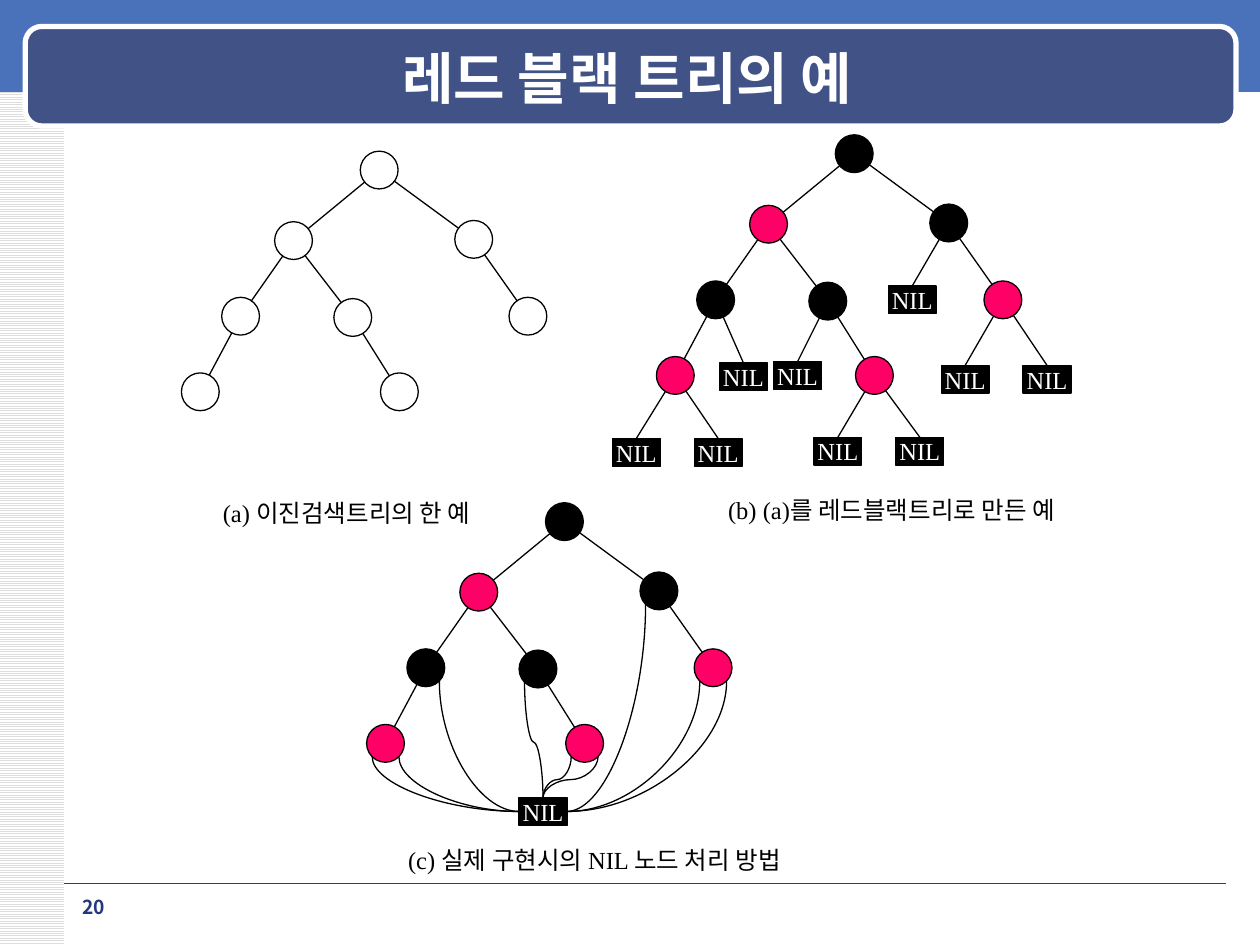
from math import hypot

from lxml.etree import SubElement
from pptx import Presentation
from pptx.dml.color import RGBColor
from pptx.enum.dml import MSO_PATTERN
from pptx.enum.shapes import MSO_CONNECTOR as CONNECTOR, MSO_SHAPE as SHAPE
from pptx.enum.text import MSO_ANCHOR as ANCHOR, PP_ALIGN as ALIGN
from pptx.oxml.ns import qn
from pptx.util import Inches, Pt

WHITE = RGBColor(0xFF, 0xFF, 0xFF)
BLACK = RGBColor(0, 0, 0)
RED = RGBColor(0xFF, 0x00, 0x66)
STRIPE = RGBColor(0xDD, 0xDD, 0xDD)
BAND = RGBColor(0x49, 0x72, 0xBB)
PANEL = RGBColor(0x40, 0x52, 0x86)
RULE = RGBColor(0x1A, 0x3D, 0x97)
NUMBER = RGBColor(0x23, 0x38, 0x7D)
KOREAN = "Noto Sans CJK KR"
LATIN = "Times New Roman"

RADIUS = 0.15
NIL_WIDTH, NIL_HEIGHT = 0.38, 0.22
NODES = {
    "root": (1.42, 0), "left": (0.74, 0.56), "right": (2.17, 0.55),
    "left-left": (0.32, 1.16), "left-right": (1.21, 1.17), "right-right": (2.6, 1.16),
    "left-left-left": (0, 1.76), "left-right-right": (1.58, 1.76),
}
EDGES = [
    ("root", "left"), ("root", "right"), ("left", "left-left"),
    ("left", "left-right"), ("right", "right-right"),
    ("left-left", "left-left-left"), ("left-right", "left-right-right"),
]
RED_NODES = {"left", "right-right", "left-left-left", "left-right-right"}
NIL_LEAVES = [
    ("right", 1.84, 1.2), ("right-right", 2.26, 1.83), ("right-right", 2.91, 1.83),
    ("left-left", 0.5, 1.81), ("left-right", 0.93, 1.8),
    ("left-right-right", 1.25, 2.4), ("left-right-right", 1.9, 2.4),
    ("left-left-left", -0.35, 2.41), ("left-left-left", 0.3, 2.41),
]
SHARED_NIL = (1.21, 2.34)
NIL_CURVES = [
    ("right-right", -1, "right", None), ("right-right", 1, "right", None),
    ("left-left-left", 1, "left", None), ("left-left-left", -1, "left", None),
    ("left-left", 1, "left", None), ("left-right", -1, "top", 0.52),
    ("left-right-right", -1, "top", 0.56), ("left-right-right", 1, "top", 0.56),
    ("right", -1, "right", None),
]


def style_run(run, font_name, size, color, bold=False):
    """Format a run, with one font for Latin and Korean letters."""
    font = run.font
    font.name, font.size, font.bold = font_name, Pt(size), bold
    font.color.rgb = color
    SubElement(run._r.get_or_add_rPr(), qn("a:ea")).set("typeface", font_name)


def add_block(slide, kind, box, fill=None, line=None, width=0.75):
    """Add a preset shape with plain fill and outline."""
    shape = slide.shapes.add_shape(kind, *map(Inches, box))
    shape.shadow.inherit = False
    if fill is None:
        shape.fill.background()
    else:
        shape.fill.solid()
        shape.fill.fore_color.rgb = fill
    if line is None:
        shape.line.fill.background()
    else:
        shape.line.color.rgb = line
        shape.line.width = Pt(width)
    return shape


def add_line(slide, start, end, kind=CONNECTOR.STRAIGHT, color=BLACK, width=0.75):
    """Add a connector without shadow."""
    connector = slide.shapes.add_connector(kind, *map(Inches, (*start, *end)))
    connector.line.color.rgb = color
    connector.line.width = Pt(width)
    SubElement(connector._element.spPr, qn("a:effectLst"))
    return connector


def add_curve(slide, start, end, bend=None):
    """Add a curve that leaves its start downwards, S-shaped if a bend is given."""
    (x1, y1), (x2, y2) = start, end
    middle_x, middle_y = (x1 + x2) / 2, (y1 + y2) / 2
    half_length, half_breadth = (y2 - y1) / 2, abs(x2 - x1) / 2
    connector = add_line(slide, (middle_x - half_length, middle_y - half_breadth),
                         (middle_x + half_length, middle_y + half_breadth), CONNECTOR.CURVE)
    properties = connector._element.spPr
    transform = properties.find(qn("a:xfrm"))
    transform.set("rot", str((270 if x2 > x1 else 90) * 60000))
    if x2 > x1:
        transform.set("flipH", "1")
    geometry = properties.find(qn("a:prstGeom"))
    if bend is None:
        geometry.set("prst", "curvedConnector2")
    else:
        guide = SubElement(geometry.find(qn("a:avLst")), qn("a:gd"))
        guide.set("name", "adj1")
        guide.set("fmla", f"val {round(bend * 100000)}")


def toward(start, end):
    """Return the point one node radius from start toward end."""
    dx, dy = end[0] - start[0], end[1] - start[1]
    ratio = RADIUS / hypot(dx, dy)
    return start[0] + dx * ratio, start[1] + dy * ratio


def add_nil(slide, left, top):
    """Add a black NIL leaf."""
    shape = add_block(slide, SHAPE.RECTANGLE, (left, top, NIL_WIDTH, NIL_HEIGHT), BLACK, BLACK)
    frame = shape.text_frame
    frame.text = "NIL"
    frame.word_wrap = False
    frame.vertical_anchor = ANCHOR.MIDDLE
    paragraph = frame.paragraphs[0]
    paragraph.alignment = ALIGN.CENTER
    style_run(paragraph.runs[0], LATIN, 14, WHITE)


def add_tree(slide, left, top, colored=True):
    """Draw the nodes and edges of the tree and return the node centers."""
    centers = {name: (left + x + RADIUS, top + y + RADIUS) for name, (x, y) in NODES.items()}
    for name, (x, y) in centers.items():
        fill = (RED if name in RED_NODES else BLACK) if colored else None
        box = (x - RADIUS, y - RADIUS, 2 * RADIUS, 2 * RADIUS)
        add_block(slide, SHAPE.OVAL, box, fill, BLACK)
    for parent, child in EDGES:
        start, end = centers[parent], centers[child]
        add_line(slide, toward(start, end), toward(end, start))
    return centers


def add_leaf_tree(slide, left, top):
    """Draw the colored tree with a separate NIL for each missing child."""
    centers = add_tree(slide, left, top)
    for parent, x, y in NIL_LEAVES:
        add_nil(slide, left + x, top + y)
        end = (left + x + NIL_WIDTH / 2, top + y)
        add_line(slide, toward(centers[parent], end), end)


def add_shared_tree(slide, left, top):
    """Draw the colored tree whose missing children share one NIL."""
    centers = add_tree(slide, left, top)
    x, y = left + SHARED_NIL[0], top + SHARED_NIL[1]
    add_nil(slide, x, y)
    ends = {"left": (x, y + NIL_HEIGHT / 2), "right": (x + NIL_WIDTH, y + NIL_HEIGHT / 2),
            "top": (x + NIL_WIDTH / 2, y)}
    diagonal = RADIUS * 0.71
    for parent, side, end, bend in NIL_CURVES:
        center_x, center_y = centers[parent]
        add_curve(slide, (center_x + side * diagonal, center_y + diagonal), ends[end], bend)


def add_text(slide, box, parts, size=14, color=BLACK, bold=False, align=ALIGN.LEFT):
    """Add one line of text from pairs of wording and font."""
    frame = slide.shapes.add_textbox(*map(Inches, box)).text_frame
    frame.word_wrap = True
    paragraph = frame.paragraphs[0]
    paragraph.alignment = align
    for text, font_name in parts:
        run = paragraph.add_run()
        run.text = text
        style_run(run, font_name, size, color, bold)


def add_frame(slide, title_text, number):
    """Draw the side strip, header, title, footer rule and page number."""
    strip = add_block(slide, SHAPE.RECTANGLE, (0, 0, 0.51, 7.5))
    strip.fill.patterned()
    strip.fill.pattern = MSO_PATTERN.LIGHT_HORIZONTAL
    strip.fill.fore_color.rgb, strip.fill.back_color.rgb = STRIPE, WHITE
    add_block(slide, SHAPE.RECTANGLE, (0, 0, 10, 0.73), BAND)
    add_line(slide, (0.51, 7.01), (9.73, 7.01), color=RULE, width=0.25)
    add_block(slide, SHAPE.ROUNDED_RECTANGLE, (0.2, 0.21, 9.61, 0.79), PANEL, WHITE, 3)
    title = slide.shapes.title
    slide.shapes._spTree.append(title._element)
    title.left, title.top, title.width, title.height = map(Inches, (0.71, 0.3, 8.54, 0.62))
    title.text_frame.text = title_text
    title.text_frame.vertical_anchor = ANCHOR.MIDDLE
    paragraph = title.text_frame.paragraphs[0]
    paragraph.alignment = ALIGN.CENTER
    style_run(paragraph.runs[0], KOREAN, 32, WHITE, True)
    add_text(slide, (0.51, 7.06, 0.47, 0.27), [(number, KOREAN)], 11, NUMBER, True, ALIGN.CENTER)


def main():
    """Build the slide and save it."""
    presentation = Presentation()
    presentation.slide_width, presentation.slide_height = Inches(10), Inches(7.5)
    slide = presentation.slides.add_slide(presentation.slide_layouts[5])
    add_frame(slide, "레드 블랙 트리의 예", "20")
    add_leaf_tree(slide, 5.21, 1.07)
    add_tree(slide, 1.44, 1.2, colored=False)
    add_shared_tree(slide, 2.91, 3.99)
    add_text(slide, (1.67, 3.9, 2.36, 0.33), [("(a) ", LATIN), ("이진검색트리의 한 예", KOREAN)])
    add_text(slide, (5.68, 3.88, 3.02, 0.33),
             [("(b) (a)", LATIN), ("를 레드블랙트리로 만든 예", KOREAN)])
    add_text(slide, (3.14, 6.66, 3.46, 0.33), [("(c) ", LATIN), ("실제 구현시의 ", KOREAN),
                                               ("NIL ", LATIN), ("노드 처리 방법", KOREAN)])
    presentation.save("out.pptx")


if __name__ == "__main__":
    main()
